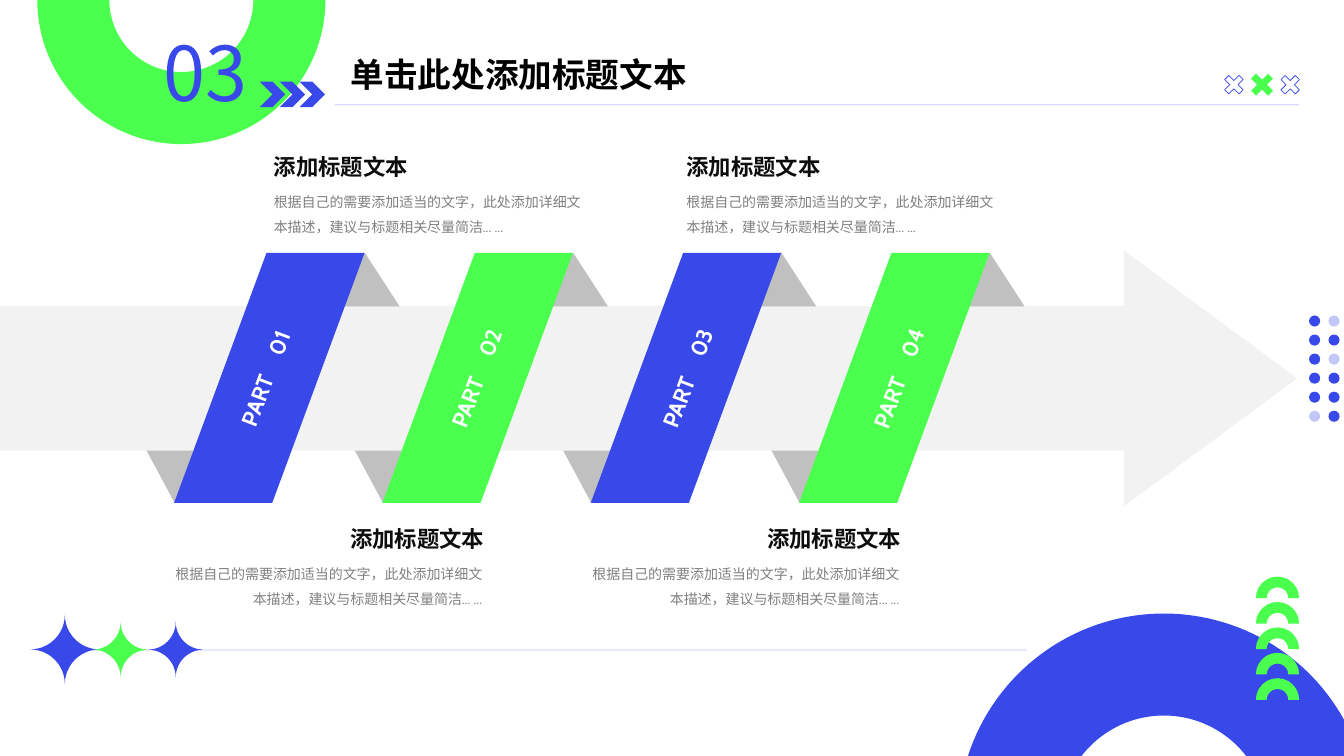
from math import acos, asin, cos, pi, sin

from pptx import Presentation
from pptx.dml.color import RGBColor
from pptx.enum.shapes import MSO_CONNECTOR, MSO_SHAPE
from pptx.enum.text import MSO_ANCHOR, MSO_AUTO_SIZE, PP_ALIGN
from pptx.oxml.ns import qn
from pptx.oxml.xmlchemy import OxmlElement
from pptx.util import Cm, Pt

COLORS = {"blue": "3948E9", "green": "4AFF4E", "arrow": "F2F2F2", "fold": "404040",
          "title": "000000", "heading": "0D0D0D", "body": "808080", "white": "FFFFFF"}
WIDTH, HEIGHT = 33.87, 19.05


class Deck:
    """Style and current slide."""
    font = "Cabin"
    number_font = "Noto Sans CJK SC"

    def __init__(self):
        self.presentation = Presentation()
        self.presentation.slide_width = Cm(WIDTH)
        self.presentation.slide_height = Cm(HEIGHT)
        self.slide = self.presentation.slides.add_slide(self.presentation.slide_layouts[6])

    def color(self, name):
        return RGBColor.from_string(COLORS[name])

    def fade(self, item, percent):
        for color in item._element.spPr.iter(qn("a:srgbClr")):
            alpha = OxmlElement("a:alpha")
            alpha.set("val", str(percent * 1000))
            color.append(alpha)

    def paint(self, item, fill=None, line=None, alpha=None):
        item.shadow.inherit = False
        if fill:
            item.fill.solid()
            item.fill.fore_color.rgb = self.color(fill)
        else:
            item.fill.background()
        if line:
            item.line.color.rgb = self.color(line)
            item.line.width = Pt(0.5)
        else:
            item.line.fill.background()
        if alpha:
            self.fade(item, alpha)

    def shape(self, kind, left, top, width, height, fill=None, line=None,
              alpha=None, rotation=0, adjust=()):
        item = self.slide.shapes.add_shape(kind, Cm(left), Cm(top), Cm(width), Cm(height))
        for index, value in enumerate(adjust):
            item.adjustments[index] = value
        item.rotation = rotation
        self.paint(item, fill, line, alpha)
        return item

    def outline(self, points, fill):
        corners = [(Cm(x), Cm(y)) for x, y in points]
        builder = self.slide.shapes.build_freeform(*corners[0])
        builder.add_line_segments(corners[1:], close=True)
        self.paint(builder.convert_to_shape(), fill)

    def rule(self, left, right, y):
        item = self.slide.shapes.add_connector(
            MSO_CONNECTOR.STRAIGHT, Cm(left), Cm(y), Cm(right), Cm(y))
        item.line.color.rgb = self.color("blue")
        item.line.width = Pt(0.5)
        self.fade(item, 33)
        item._element.spPr.append(OxmlElement("a:effectLst"))

    def run(self, paragraph, words, size, color, bold=False, font=None):
        run = paragraph.add_run()
        run.text = words
        run.font.size = Pt(size)
        run.font.bold = bold
        run.font.color.rgb = self.color(color)
        run.font.name = font or self.font
        east_asian = OxmlElement("a:ea")
        east_asian.set("typeface", font or self.font)
        run._r.rPr.find(qn("a:latin")).addnext(east_asian)
        return run

    def text(self, left, top, width, height, words, size, color, bold=False,
             font=None, align=PP_ALIGN.LEFT, spacing=None, wrap=True):
        box = self.slide.shapes.add_textbox(Cm(left), Cm(top), Cm(width), Cm(height))
        box.text_frame.word_wrap = wrap
        box.text_frame.auto_size = MSO_AUTO_SIZE.SHAPE_TO_FIT_TEXT
        paragraph = box.text_frame.paragraphs[0]
        paragraph.alignment = align
        if spacing:
            paragraph.line_spacing = spacing
        self.run(paragraph, words, size, color, bold, font)

    def caption(self, heading_left, body_left, top, align):
        self.text(body_left, top + 0.81, 8.23, 1.47,
                  "根据自己的需要添加适当的文字，此处添加详细文本描述，建议与标题相关尽量简洁... ...",
                  10, "body", align=align, spacing=1.5)
        self.text(heading_left, top, 6.2, 0.94, "添加标题文本", 16, "heading",
                  bold=True, align=align)

    def part_label(self, left, number):
        label = self.shape(MSO_SHAPE.OVAL, left, 8.31, 7.62, 2.44, rotation=290.7)
        label.text_frame.vertical_anchor = MSO_ANCHOR.MIDDLE
        paragraph = label.text_frame.paragraphs[0]
        paragraph.alignment = PP_ALIGN.CENTER
        self.run(paragraph, "PART", 16, "white", True)
        gap = self.run(paragraph, " ", 16, "white", True)
        gap._r.get_or_add_rPr().set("spc", "1300")
        self.run(paragraph, number, 16, "white", True)


def arc(radius, start, end, center=(29.33, 20.65), steps=60):
    angles = [start + (end - start) * step / steps for step in range(steps + 1)]
    return [(center[0] + radius * cos(a), center[1] - radius * sin(a)) for a in angles]


def main():
    deck = Deck()

    # Corner rings; the blue one is cut at the slide edges
    outer, inner = 5.19, 2.62
    outer_base, inner_base = asin(1.6 / outer), asin(1.6 / inner)
    deck.outline(arc(outer, pi - outer_base, acos(4.54 / outer)) + [(WIDTH, HEIGHT)]
                 + arc(inner, inner_base, pi - inner_base), "blue")
    deck.shape(MSO_SHAPE.BLOCK_ARC, 0.94, -3.63, 7.26, 7.26, "green", rotation=180)

    # Stacked arches and title chevrons
    for row in range(5):
        deck.shape(MSO_SHAPE.BLOCK_ARC, 31.65, 14.53 + 0.64 * row, 1.09, 1.09, "green")
    for column in range(3):
        deck.shape(MSO_SHAPE.CHEVRON, 6.55 + 0.5 * column, 2.06, 0.64, 0.64, "blue")

    # Crosses, rules and stars
    for left, top, size, fill, line in [(30.84, 1.88, 0.51, None, "blue"),
                                        (31.5, 1.83, 0.61, "green", None),
                                        (32.26, 1.88, 0.51, None, "blue")]:
        deck.shape(MSO_SHAPE.CROSS, left, top, size, size, fill, line,
                   rotation=45, adjust=[0.356])
    deck.rule(8.43, 32.74, 2.64)
    deck.rule(1.22, 25.88, 16.38)
    for left, top, size, fill in [(0.76, 15.49, 1.75, "blue"), (3.73, 15.67, 1.4, "blue"),
                                  (2.34, 15.67, 1.4, "green")]:
        deck.shape(MSO_SHAPE.PLAQUE, left, top, size, size, fill, adjust=[0.5])

    # Dot grid
    pale_dots = {(0, 1), (2, 1), (5, 0)}
    for row in range(6):
        for column in range(2):
            deck.shape(MSO_SHAPE.OVAL, 32.99 + 0.49 * column, 7.95 + 0.48 * row, 0.28, 0.28,
                       "blue", alpha=30 if (row, column) in pale_dots else None)

    # Title
    deck.text(3.86, 0.53, 2.79, 2.57, "03", 54, "blue", font=deck.number_font, wrap=False)
    deck.text(8.59, 1.24, 10.08, 1.27, "单击此处添加标题文本", 24, "title", bold=True)

    # Arrow with four ribbons folded around it
    ribbons = [4.39 + 5.25 * index for index in range(4)]
    for left in ribbons:
        deck.shape(MSO_SHAPE.ISOSCELES_TRIANGLE, left - 0.86, 11.05, 1.75, 1.63,
                   "fold", alpha=33, rotation=180)
    deck.shape(MSO_SHAPE.RIGHT_ARROW, 0, 6.31, 32.69, 6.45, "arrow", adjust=[0.565, 0.677])
    for index, left in enumerate(ribbons):
        deck.shape(MSO_SHAPE.ISOSCELES_TRIANGLE, left + 3.93, 6.37, 1.75, 1.35,
                   "fold", alpha=33)
        deck.shape(MSO_SHAPE.PARALLELOGRAM, left, 6.37, 4.8, 6.3,
                   ("blue", "green")[index % 2], adjust=[0.485])
    for index in range(4):
        deck.part_label(2.87 + 5.32 * index, f"0{index + 1}")

    # Captions above and below
    for column in range(2):
        upper = 6.65 + 10.4 * column
        lower = 4.17 + 10.51 * column
        deck.caption(upper, upper, 3.73, PP_ALIGN.LEFT)
        deck.caption(lower + 2.08, lower, 13.1, PP_ALIGN.RIGHT)

    deck.presentation.save("out.pptx")


if __name__ == "__main__":
    main()
